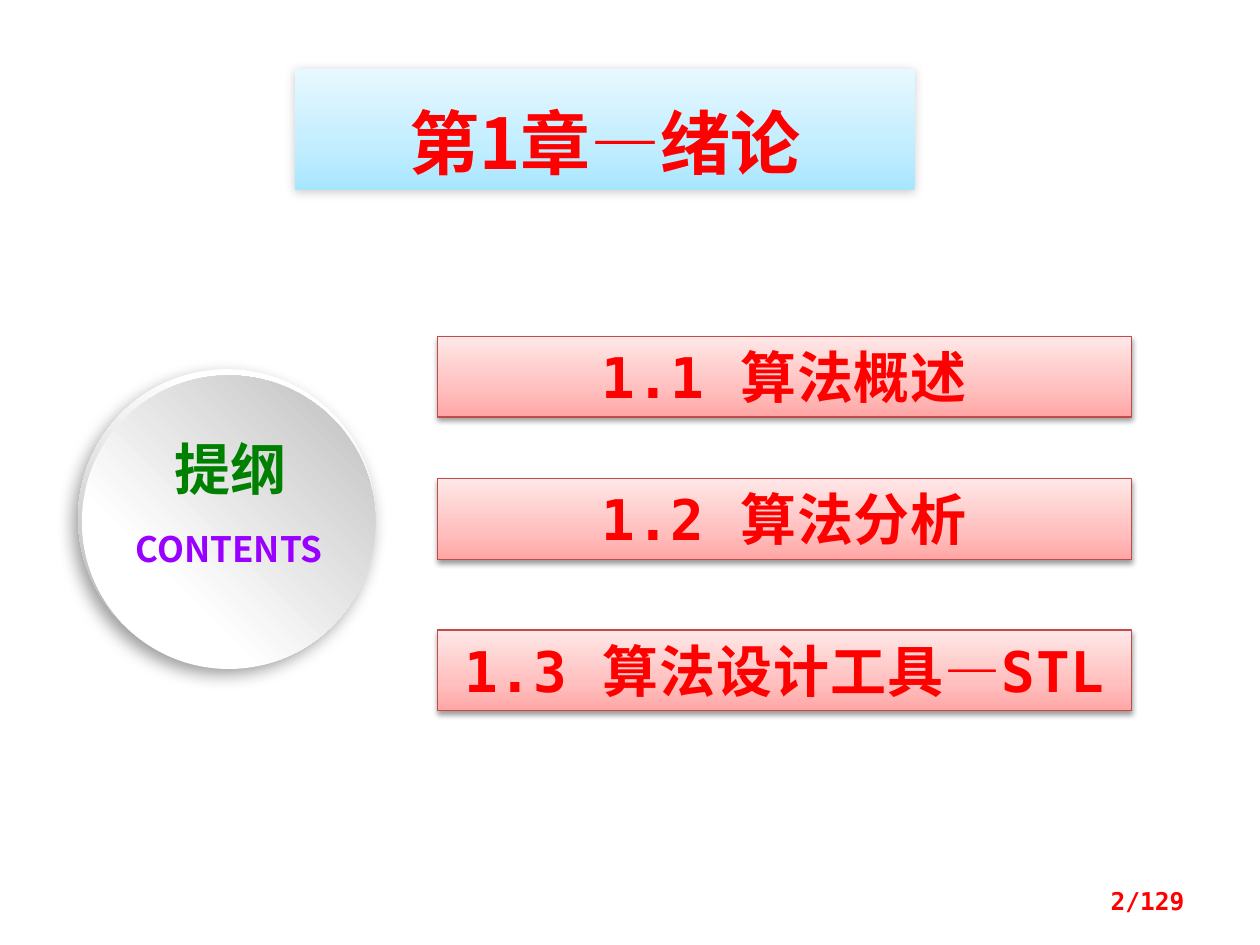
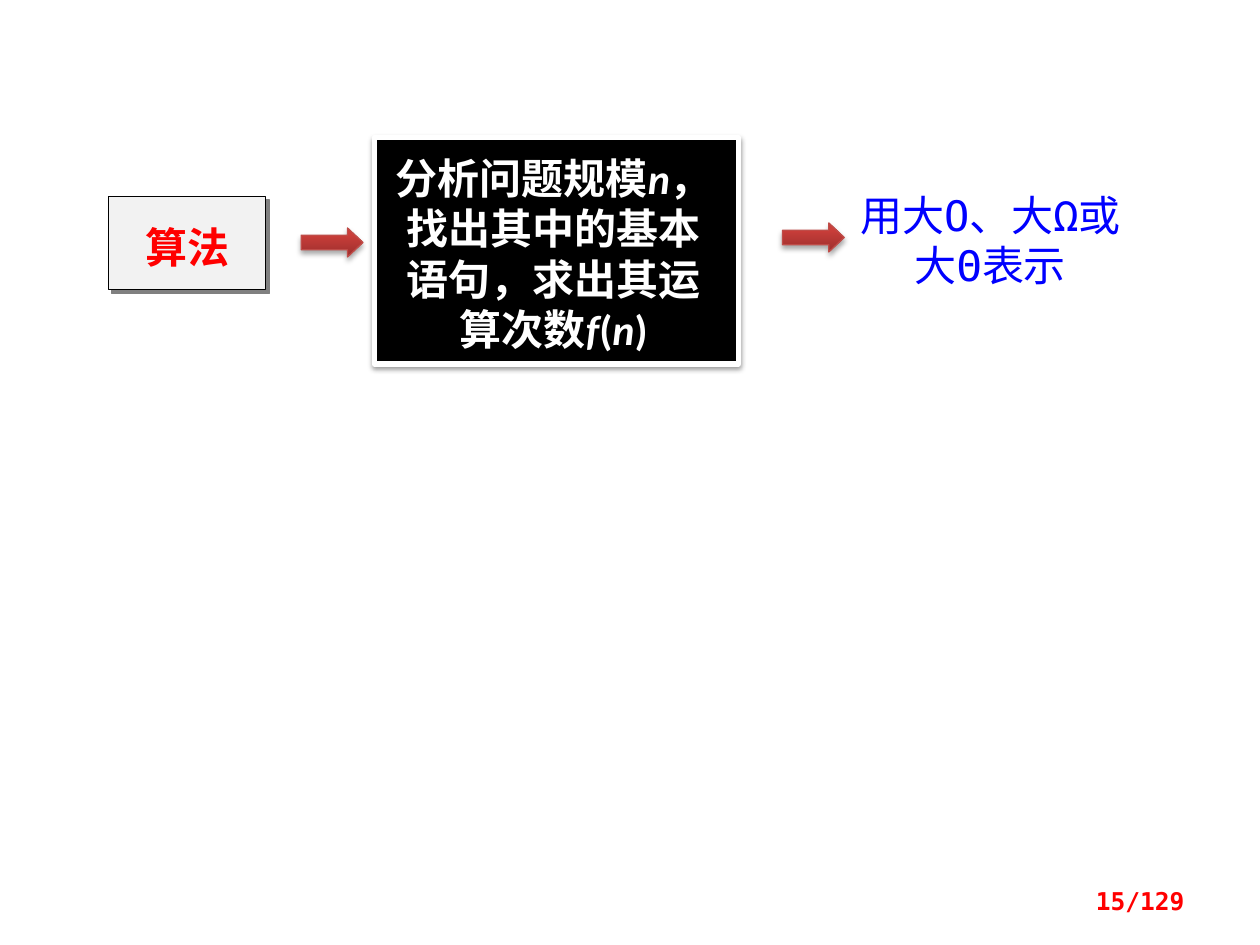
"""Build the chapter outline slide and the algorithm analysis slide."""
import pptx
import pptx.dml.color
import pptx.enum.shapes
import pptx.enum.text
import pptx.oxml.ns
import pptx.util
from lxml import etree

Inches = pptx.util.Inches
Pt = pptx.util.Pt
RGBColor = pptx.dml.color.RGBColor
SHAPE = pptx.enum.shapes.MSO_SHAPE
ALIGN = pptx.enum.text.PP_ALIGN
ANCHOR = pptx.enum.text.MSO_ANCHOR
qn = pptx.oxml.ns.qn

RED = RGBColor(0xFF, 0x00, 0x00)
GREEN = RGBColor(0x00, 0x80, 0x00)
PURPLE = RGBColor(0x99, 0x00, 0xFF)
BLUE = RGBColor(0x00, 0x00, 0xFF)
BLACK = RGBColor(0x00, 0x00, 0x00)
WHITE = RGBColor(0xFF, 0xFF, 0xFF)
PALE_GREY = RGBColor(0xF2, 0xF2, 0xF2)
MID_GREY = RGBColor(0x80, 0x80, 0x80)
BRICK = RGBColor(0xBF, 0x4C, 0x48)

SKY_STOPS = [(0, RGBColor(0xA7, 0xE6, 0xFF)), (35, RGBColor(0xC1, 0xED, 0xFF)),
             (100, RGBColor(0xE7, 0xF8, 0xFF))]
ROSE_STOPS = [(0, RGBColor(0xFF, 0xA6, 0xA5)), (35, RGBColor(0xFF, 0xC0, 0xBF)),
              (100, RGBColor(0xFF, 0xE7, 0xE7))]
BRICK_STOPS = [(0, RGBColor(0x9C, 0x2F, 0x2D)), (80, RGBColor(0xCB, 0x3E, 0x3A)),
               (100, RGBColor(0xCE, 0x3B, 0x37))]
RIM_STOPS = [(17, WHITE), (88, RGBColor(0xB8, 0xB8, 0xB8))]
DISC_STOPS = [(29, WHITE), (98, RGBColor(0xBF, 0xBF, 0xBF))]

SANS = "Noto Sans CJK SC"
MONO = "DejaVu Sans Mono"
SOFT_SHADOW = (BLACK, 38, 3.1, 1.6, 90)
LINE_HEIGHT = 1.2
PAGE_TOTAL = 129


def style_shape(shape, fill, line=None, shadow=None, angle=90):
    """Set a solid or gradient fill, the outline and the shadow."""
    shape.shadow.inherit = False
    properties = shape.element.spPr
    if isinstance(fill, list):
        shape.fill.gradient()
        shape.fill.gradient_angle = angle
        stops = properties.find(qn("a:gradFill")).find(qn("a:gsLst"))
        for stop in list(stops):
            stops.remove(stop)
        for position, color in fill:
            stop = etree.SubElement(stops, qn("a:gs"), pos=str(position * 1000))
            etree.SubElement(stop, qn("a:srgbClr"), val=str(color))
    else:
        shape.fill.solid()
        shape.fill.fore_color.rgb = fill
    if line:
        shape.line.color.rgb, shape.line.width = line[0], Pt(line[1])
    else:
        shape.line.fill.background()
    if shadow:
        color, opacity, blur, distance, direction = shadow
        outer = etree.SubElement(
            properties.find(qn("a:effectLst")), qn("a:outerShdw"),
            blurRad=str(Pt(blur)), dist=str(Pt(distance)),
            dir=str(direction * 60000), algn="ctr", rotWithShape="0")
        tint = etree.SubElement(outer, qn("a:srgbClr"), val=str(color))
        etree.SubElement(tint, qn("a:alpha"), val=str(opacity * 1000))


def write_text(shape, runs, font, size, color, bold=True, insets=(0.1, 0.05, 0.1, 0.05),
               align=ALIGN.CENTER, anchor=ANCHOR.TOP, spacing=0):
    """Write one paragraph; every second run of a list is italic."""
    frame = shape.text_frame
    sides = ("margin_left", "margin_top", "margin_right", "margin_bottom")
    settings = dict(zip(sides, map(Inches, insets)))
    settings.update(word_wrap=True, auto_size=pptx.enum.text.MSO_AUTO_SIZE.NONE,
                    vertical_anchor=anchor)
    for name, value in settings.items():
        setattr(frame, name, value)
    para = frame.paragraphs[0]
    para.alignment = align
    para.line_spacing = Pt(size * LINE_HEIGHT)
    para.space_before = Pt(0)
    for index, words in enumerate(runs):
        span = para.add_run()
        span.text = words
        style = {"name": font, "size": Pt(size), "bold": bold, "italic": index % 2 == 1}
        for name, value in style.items():
            setattr(span.font, name, value)
        span.font.color.rgb = color
        run_properties = span._r.get_or_add_rPr()
        etree.SubElement(run_properties, qn("a:ea"), typeface=SANS)
        if spacing:
            run_properties.set("spc", str(int(spacing * 100)))


deck = pptx.Presentation()
deck.slide_width, deck.slide_height = Inches(10), Inches(7.5)
outline_page = deck.slides.add_slide(deck.slide_layouts[5])
analysis_page = deck.slides.add_slide(deck.slide_layouts[6])

title = outline_page.shapes.title
title_place = {"left": 2.34, "top": 0.55, "width": 4.92, "height": 0.96}
for name, value in title_place.items():
    setattr(title, name, Inches(value))
style_shape(title, SKY_STOPS, shadow=(BLACK, 20, 6, 1, 135))
write_text(title, ["第1章—绪论"], SANS, 40, RED, insets=(0.1, 0.24, 0.1, 0.05))

sections = [(2.67, "1.1 算法概述"), (3.8, "1.2 算法分析"), (5, "1.3 算法设计工具—STL")]
for top, heading in sections:
    bar = outline_page.shapes.add_shape(
        SHAPE.RECTANGLE, Inches(3.47), Inches(top), Inches(5.51), Inches(0.64))
    style_shape(bar, ROSE_STOPS, (BRICK, 0.75), SOFT_SHADOW)
    write_text(bar, [heading], MONO, 32, RED, insets=(0.02, 0.05, 0.02, 0.05), spacing=0.5)

discs = [(0.62, 2.93, 2.36, RIM_STOPS, 253, (BLACK, 39, 10, 5, 123)),
         (0.65, 2.98, 2.33, DISC_STOPS, 45, None)]
for left, top, diameter, stops, angle, shadow in discs:
    disc = outline_page.shapes.add_shape(
        SHAPE.OVAL, Inches(left), Inches(top), Inches(diameter), Inches(diameter))
    style_shape(disc, stops, shadow=shadow, angle=angle)

labels = [("CONTENTS", 0.9, 4.14, 1.84, 0.44, 20, PURPLE),
          ("提纲", 1.06, 3.4, 1.54, 0.64, 32, GREEN)]
for words, left, top, width, height, size, color in labels:
    label = outline_page.shapes.add_textbox(
        Inches(left), Inches(top), Inches(width), Inches(height))
    write_text(label, [words], SANS, size, color)

steps = [
    ((0.86, 1.56, 1.25, 0.74), PALE_GREY, (BLACK, 0.75), (MID_GREY, 100, 0, 2.8, 45),
     ["算法"], SANS, RED, True, (0.24, 0.2, 0.24, 0.2)),
    ((2.97, 1.09, 2.89, 1.8), BLACK, (WHITE, 3), SOFT_SHADOW,
     ["分析问题规模", "n", "，找出其中的基本语句，求出其运算次数", "f", "(", "n", ")"],
     "Calibri", WHITE, True, (0.12, 0.12, 0.16, 0.16)),
    ((6.74, 1.48, 2.24, 0.78), WHITE, None, None,
     ["用大O、大Ω或大Θ表示"], MONO, BLUE, False, (0, 0.02, 0, 0)),
]
for place, fill, line, shadow, runs, font, color, bold, insets in steps:
    box = analysis_page.shapes.add_shape(SHAPE.RECTANGLE, *map(Inches, place))
    style_shape(box, fill, line, shadow)
    write_text(box, runs, font, 24, color, bold, insets)

for left, top in [(2.39, 1.81), (6.21, 1.77)]:
    arrow = analysis_page.shapes.add_shape(
        SHAPE.RIGHT_ARROW, Inches(left), Inches(top), Inches(0.49), Inches(0.23))
    arrow.adjustments[0], arrow.adjustments[1] = 0.5, 0.53
    style_shape(arrow, BRICK_STOPS, (BRICK, 0.75), (BLACK, 35, 3.1, 1.8, 90))

for page, number in [(outline_page, 2), (analysis_page, 15)]:
    footer = page.shapes.add_textbox(Inches(7.17), Inches(6.95), Inches(2.33), Inches(0.4))
    write_text(footer, [f"{number}/{PAGE_TOTAL}"], MONO, 14, RED,
               align=ALIGN.RIGHT, anchor=ANCHOR.MIDDLE)

deck.save("out.pptx")
